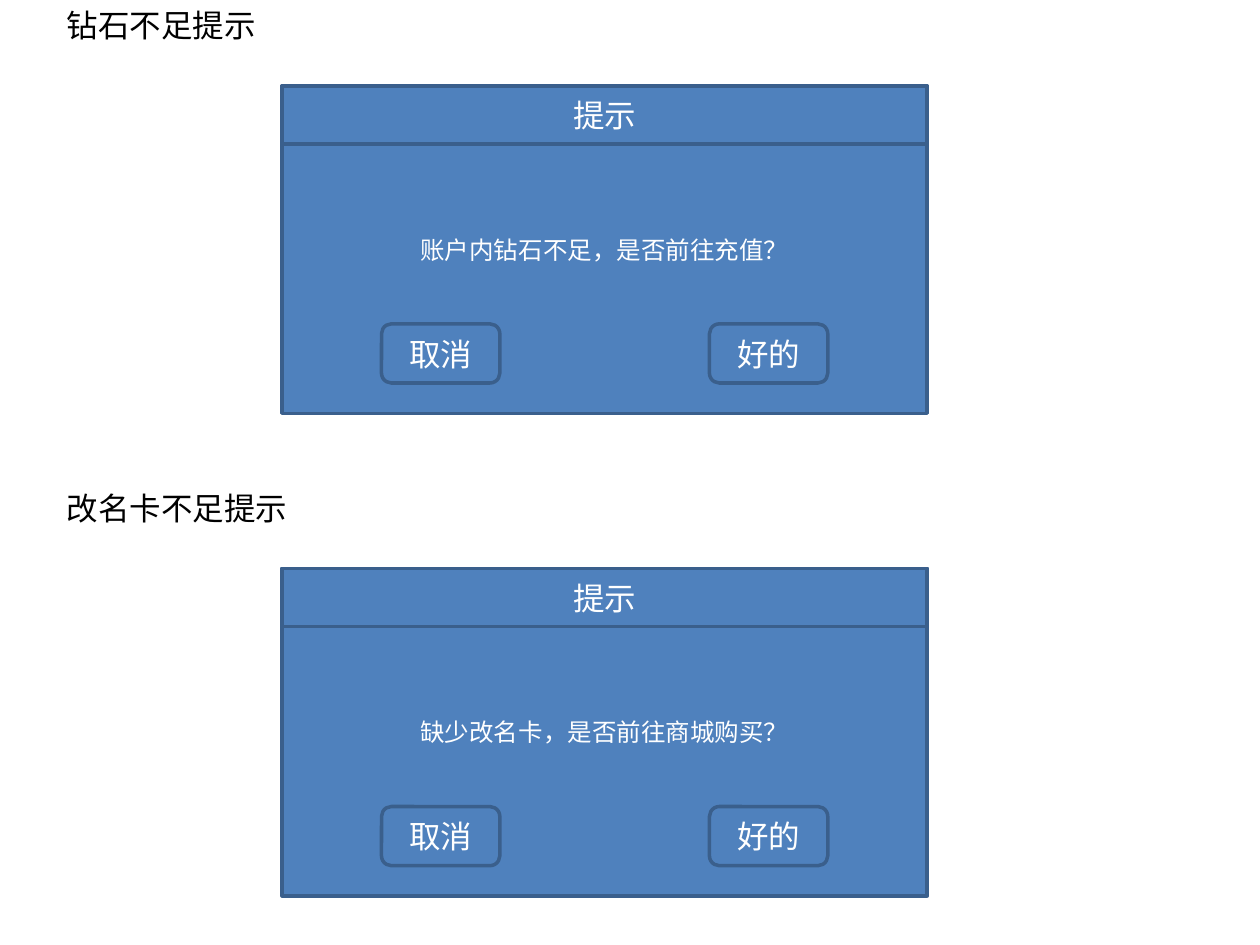
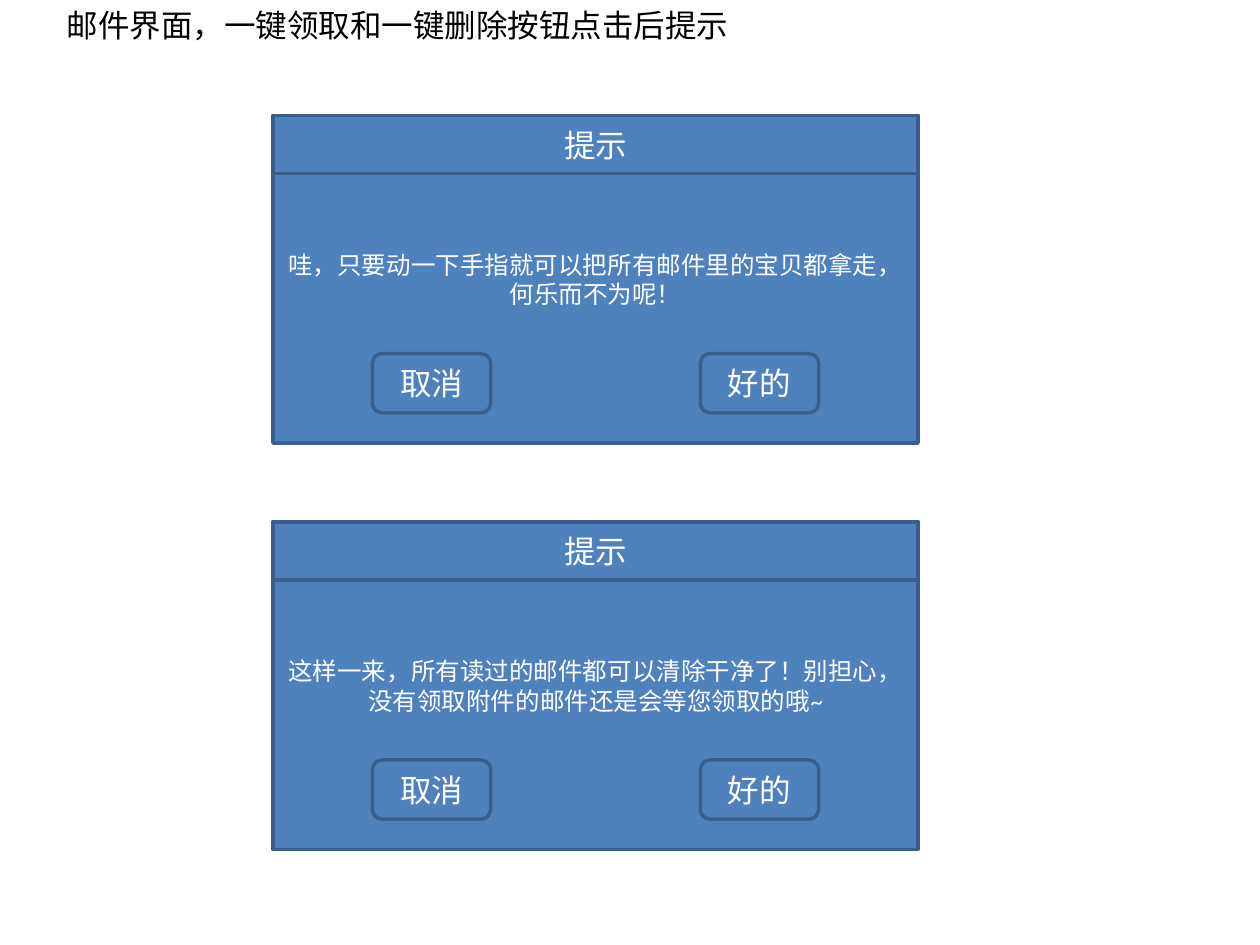
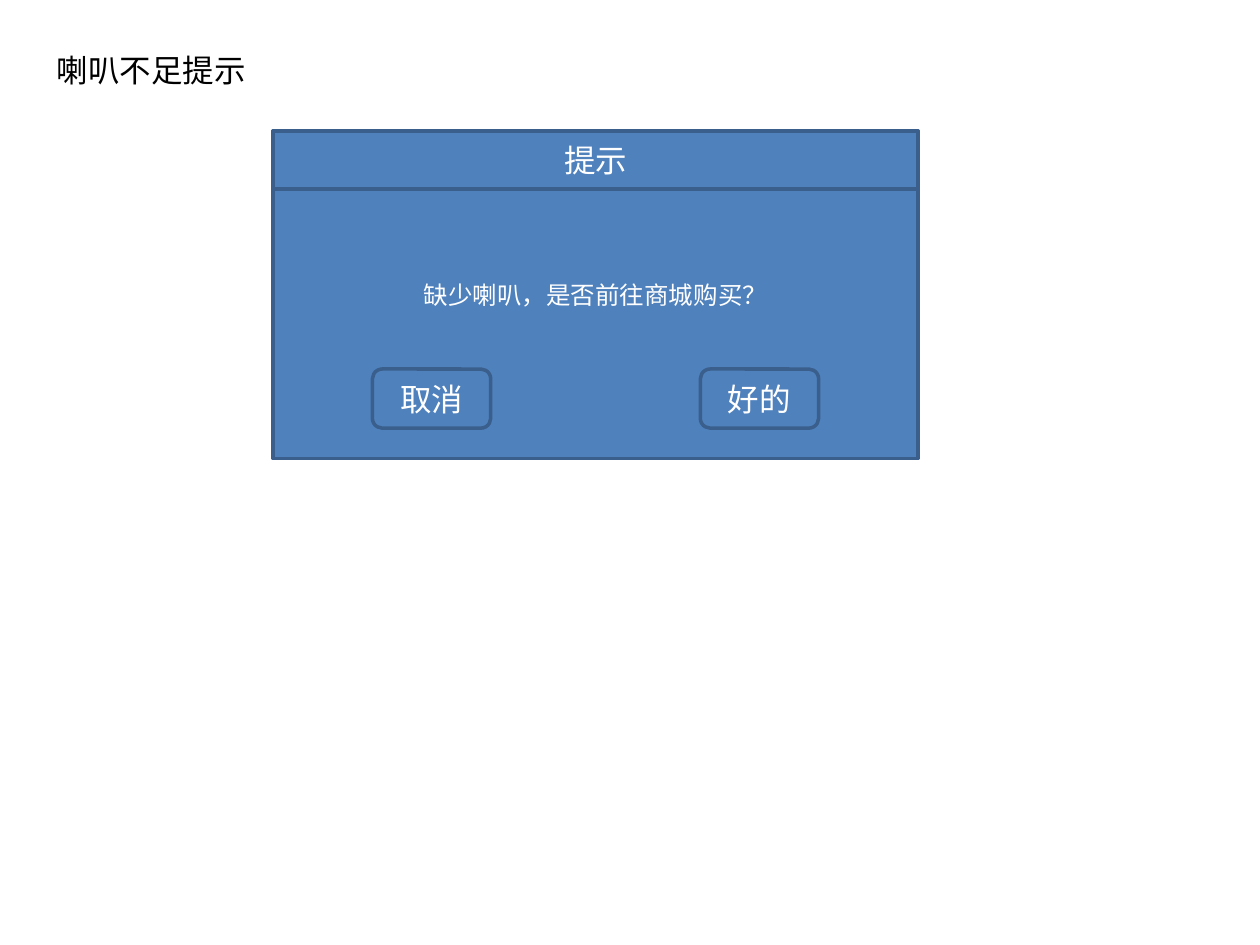
from pptx import Presentation
from pptx.dml.color import RGBColor
from pptx.enum.shapes import MSO_SHAPE
from pptx.enum.text import MSO_ANCHOR, MSO_AUTO_SIZE, PP_ALIGN
from pptx.util import Pt

BLUE = RGBColor(0x4F, 0x81, 0xBD)
DARK_BLUE = RGBColor(0x3A, 0x5F, 0x8C)
WHITE = RGBColor(0xFF, 0xFF, 0xFF)
BLACK = RGBColor(0x00, 0x00, 0x00)
FONT = "Calibri"

TITLE_ONLY = 5
CAPTION_WIDTH, CAPTION_HEIGHT = 487.4, 28.8
DIALOG_WIDTH, DIALOG_HEIGHT = 368.6, 187.2
HEADER_HEIGHT = 33.2
BUTTON_WIDTH, BUTTON_HEIGHT = 67.6, 33.8
BUTTON_MARGIN, BUTTON_DROP = 56.8, 136.1

SLIDES = [
    {
        "captions": [("钻石不足提示", 31, 0), ("改名卡不足提示", 31, 275.8)],
        "dialog_left": 161.2,
        "dialogs": [
            ("账户内钻石不足，是否前往充值？", 49),
            ("缺少改名卡，是否前往商城购买？", 324.8),
        ],
    },
    {
        "captions": [("邮件界面，一键领取和一键删除按钮点击后提示", 31, 0)],
        "dialog_left": 156,
        "dialogs": [
            ("哇，只要动一下手指就可以把所有邮件里的宝贝都拿走，何乐而不为呢！", 66),
            ("这样一来，所有读过的邮件都可以清除干净了！别担心，没有领取附件的邮件还是会等您领取的哦~", 298.2),
        ],
    },
    {
        "captions": [("喇叭不足提示", 25.2, 25.8)],
        "dialog_left": 156,
        "dialogs": [("缺少喇叭，是否前往商城购买？", 74.8)],
    },
]


def write_text(shape, text, size=18, color=WHITE, align=PP_ALIGN.CENTER, anchor=MSO_ANCHOR.MIDDLE):
    frame = shape.text_frame
    frame.word_wrap = True
    frame.vertical_anchor = anchor
    frame.text = text
    paragraph = frame.paragraphs[0]
    paragraph.alignment = align
    paragraph.font.name = FONT
    paragraph.font.size = Pt(size)
    paragraph.font.color.rgb = color


def add_panel(slide, kind, left, top, width, height, text, size=18):
    shape = slide.shapes.add_shape(kind, Pt(left), Pt(top), Pt(width), Pt(height))
    shape.shadow.inherit = False
    shape.fill.solid()
    shape.fill.fore_color.rgb = BLUE
    shape.line.color.rgb = DARK_BLUE
    shape.line.width = Pt(2)
    write_text(shape, text, size=size)


presentation = Presentation()
presentation.slide_width = Pt(720)
presentation.slide_height = Pt(540)

for content in SLIDES:
    slide = presentation.slides.add_slide(presentation.slide_layouts[TITLE_ONLY])

    for index, (text, left, top) in enumerate(content["captions"]):
        caption = slide.shapes.title if index == 0 else slide.shapes.add_textbox(0, 0, 0, 0)
        caption.left, caption.top = Pt(left), Pt(top)
        caption.width, caption.height = Pt(CAPTION_WIDTH), Pt(CAPTION_HEIGHT)
        caption.text_frame.auto_size = MSO_AUTO_SIZE.SHAPE_TO_FIT_TEXT
        write_text(caption, text, color=BLACK, align=PP_ALIGN.LEFT, anchor=MSO_ANCHOR.TOP)

    left = content["dialog_left"]
    button_lefts = [left + BUTTON_MARGIN, left + DIALOG_WIDTH - BUTTON_MARGIN - BUTTON_WIDTH]
    for message, top in content["dialogs"]:
        add_panel(slide, MSO_SHAPE.RECTANGLE, left, top, DIALOG_WIDTH, DIALOG_HEIGHT, message, size=14)
        add_panel(slide, MSO_SHAPE.RECTANGLE, left, top, DIALOG_WIDTH, HEADER_HEIGHT, "提示")
        for button_left, label in zip(button_lefts, ["取消", "好的"]):
            add_panel(slide, MSO_SHAPE.ROUNDED_RECTANGLE, button_left, top + BUTTON_DROP,
                      BUTTON_WIDTH, BUTTON_HEIGHT, label)

presentation.save("out.pptx")
